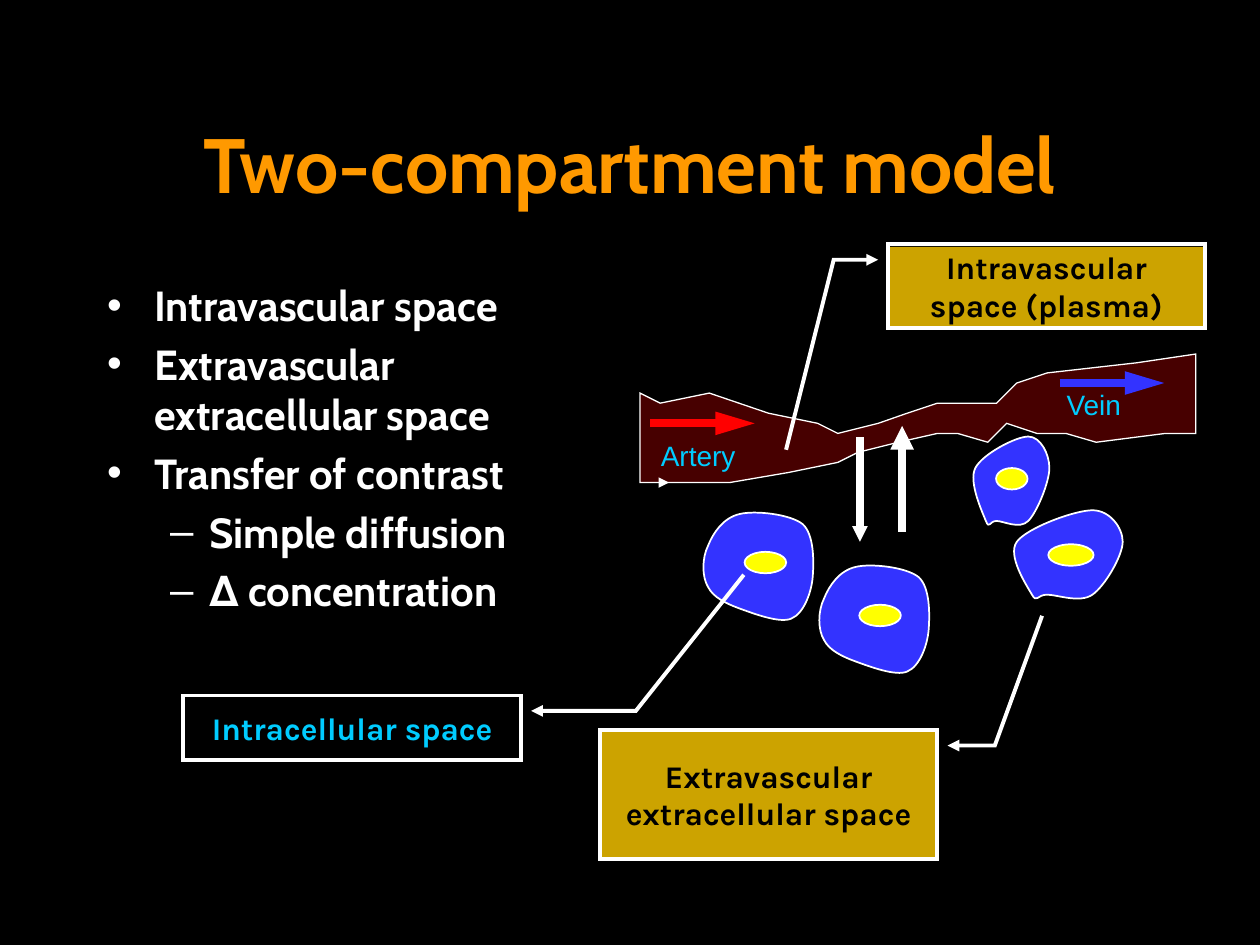
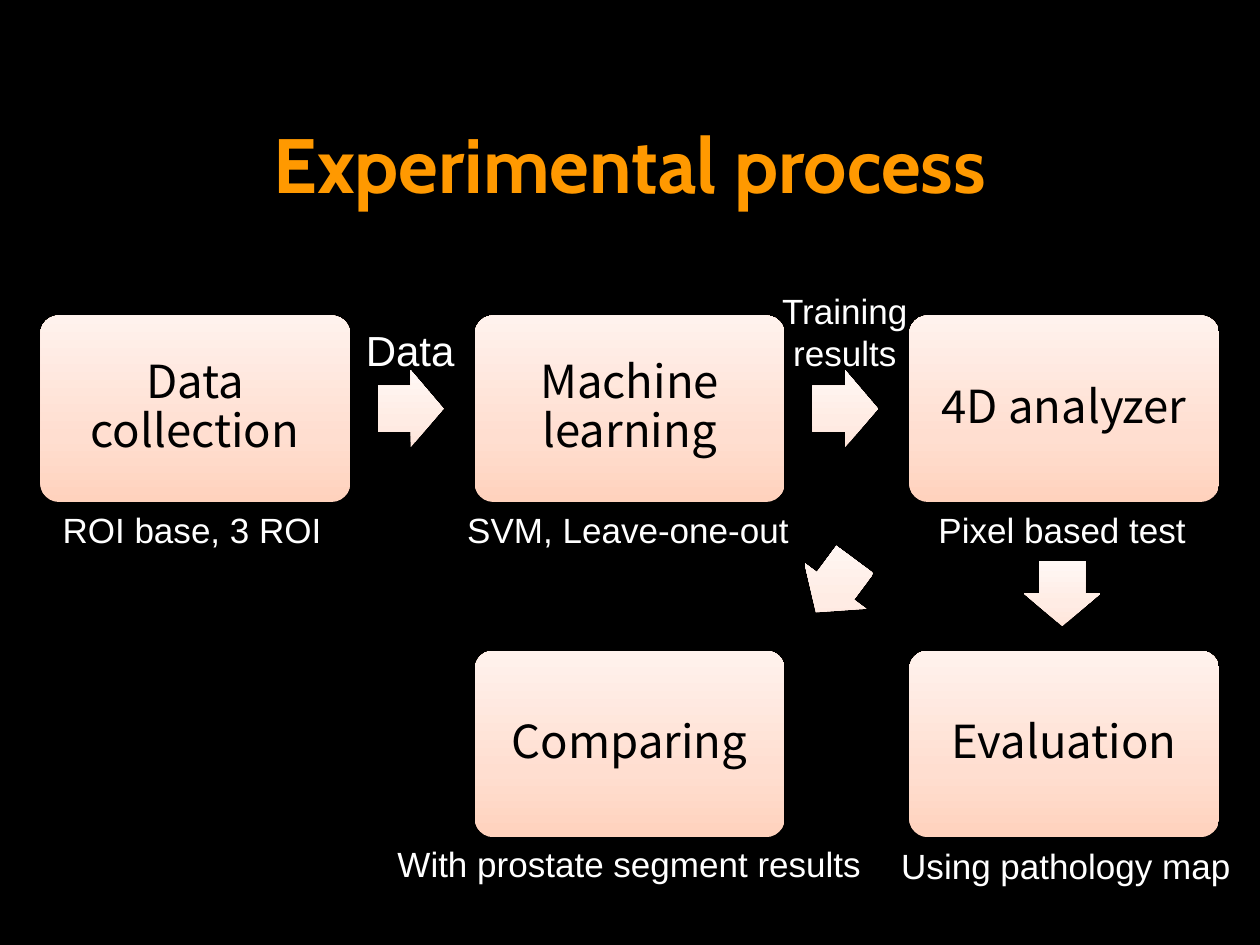
import dataclasses

import pptx
import pptx.dml.color
import pptx.enum.shapes
import pptx.enum.text
import pptx.oxml.ns
import pptx.util
from lxml import etree

SHAPE = pptx.enum.shapes.MSO_SHAPE
ALIGN = pptx.enum.text.PP_ALIGN
ANCHOR = pptx.enum.text.MSO_ANCHOR
FIT = pptx.enum.text.MSO_AUTO_SIZE
qn = pptx.oxml.ns.qn


@dataclasses.dataclass(frozen=True)
class Theme:
    background: str = "000000"
    title: str = "FF9900"
    light: str = "FFFFFF"
    dark: str = "000000"
    accent: str = "00CCFF"
    artery: str = "FF0000"
    cell: str = "3333FF"
    nucleus: str = "FFFF00"
    plate: str = "FFCC00"
    card_stops: tuple = ((0, "FFD2BD"), (35, "FFDED0"), (100, "FFF2ED"))
    arrow_stops: tuple = ((0, "FFE5DA"), (35, "FFECE4"), (100, "FFF8F5"))
    heading_font: str = "Cabin"
    callout_font: str = "Karla"
    label_font: str = "Arial"
    card_font: str = "Noto Sans CJK KR"
    title_size: int = 44
    card_size: int = 26
    body_size: int = 24
    caption_size: int = 20
    callout_size: int = 18
    label_size: int = 16


THEME = Theme()
COLUMNS, ROWS = 100, 75
UNIT = pptx.util.Inches(10) // COLUMNS
FINE = 100

BULLETS = (("Intravascular space", 0), ("Extravascular extracellular space", 0),
           ("Transfer of contrast", 0), ("Simple diffusion", 1), ("∆ concentration", 1))

VESSEL = (
    (52.4, 38.3), (57.9, 38.3), (62.6, 37.5), (66.5, 36.7), (68.1, 35.9), (71.3, 35.1),
    (74.4, 34.4), (76, 34.4), (78.4, 35.1), (79.9, 33.6), (82.3, 34.4), (84.6, 34.4),
    (87, 35.1), (92.5, 34.4), (94.9, 34.4), (94.9, 28.1), (90.2, 28.8), (83.1, 29.6),
    (80.7, 30.4), (79.1, 32), (76.8, 32), (74.4, 32), (72, 32.8), (69.7, 33.6),
    (66.5, 34.4), (64.9, 33.6), (61, 32.8), (56.3, 31.2), (52.4, 32), (50.8, 31.2),
    (50.8, 38.3), (53.1, 38.3))

ROUND_CELL = (
    (0.5, 2.8), (0.9, 1.8), (1.7, 0.6), (3, 0.3), (4.2, 0), (7, 0.3), (8, 1.1),
    (8.9, 1.9), (8.9, 4), (8.8, 5.3), (8.7, 6.5), (8.1, 8.2), (7.1, 8.6),
    (6.2, 9), (4.1, 8.2), (3, 7.8), (1.9, 7.4), (0.9, 6.9), (0.5, 6.1),
    (0, 5.3), (0, 3.8), (0.5, 2.8))
POINTED_CELL = (
    (3.2, 6.7), (2.4, 6.7), (2.4, 7.4), (2, 6.7), (1.6, 6), (0, 3.6), (0.8, 2.5),
    (1.6, 1.4), (5.4, 0), (6.8, 0), (8.2, 0), (9.2, 1.4), (9.2, 2.5),
    (9.2, 3.6), (7.8, 6), (6.8, 6.7), (5.8, 7.4), (4, 6.7), (3.2, 6.7))

CARD_LEFT, CARD_TOP, CARD_WIDTH, CARD_HEIGHT = 3.2, 25.04, 24.6, 14.8
CARD_STEP, CARD_DROP = 34.48, 26.6
ARROW_WIDTH, ARROW_HEIGHT = 5.2, 6.1
STAGES = (
    ("Data collection", 0, 0, "ROI base, 3 ROI", (3.9, 39.85, 22.7, 4.4)),
    ("Machine learning", 1, 0, "SVM, Leave-one-out", (36, 39.85, 27.7, 4.4)),
    ("4D analyzer", 2, 0, "Pixel based test", (73.4, 39.85, 21.8, 4.4)),
    ("Evaluation", 2, 1, "Using pathology map", (70.4, 66.55, 28.4, 4.4)),
    ("Comparing", 1, 1, "With prostate segment results", (30.4, 66.4, 39.1, 4.4)))


def grid(*lengths):
    return [pptx.util.Emu(round(length * UNIT)) for length in lengths]


def rgb(color):
    return pptx.dml.color.RGBColor.from_string(color)


def write_text(frame, text, *, size, font, color, bold=False, align=ALIGN.LEFT,
               anchor=ANCHOR.TOP, margins=(1, 0.5), wrap=True, fit=FIT.NONE,
               spacing=None, levels=None):
    frame.text = text
    frame.auto_size, frame.word_wrap, frame.vertical_anchor = fit, wrap, anchor
    frame.margin_left = frame.margin_right = grid(margins[0])[0]
    frame.margin_top = frame.margin_bottom = grid(margins[1])[0]
    for index, paragraph in enumerate(frame.paragraphs):
        paragraph.alignment = align
        paragraph.level = levels[index] if levels else 0
        if spacing:
            paragraph.line_spacing = spacing
        for run in paragraph.runs:
            run.font.size, run.font.name, run.font.bold = pptx.util.Pt(size), font, bold
            run.font.color.rgb = rgb(color)


def paint(shape, fill=None, line=None, width=1, opacity=None):
    shape.shadow.inherit = False
    if fill:
        shape.fill.solid()
        shape.fill.fore_color.rgb = rgb(fill)
    else:
        shape.fill.background()
    if opacity:
        color = shape.element.spPr.find(qn("a:solidFill"))[0]
        etree.SubElement(color, qn("a:alpha"), val=str(opacity * 1000))
    if line:
        shape.line.color.rgb = rgb(line)
        shape.line.width = pptx.util.Pt(width)
    else:
        shape.line.fill.background()


def paint_gradient(shape, stops):
    paint(shape)
    shape.fill.gradient()
    shape.fill.gradient_angle = 90
    gradient = shape.element.spPr.find(qn("a:gradFill"))
    gradient.set("rotWithShape", "0")
    stop_list = gradient.find(qn("a:gsLst"))
    for stop in list(stop_list):
        stop_list.remove(stop)
    for position, color in stops:
        stop = etree.SubElement(stop_list, qn("a:gs"), pos=str(position * 1000))
        etree.SubElement(stop, qn("a:srgbClr"), val=color)


def add_arrowhead(shape, end="tailEnd", width="med", length="med"):
    line = shape.element.spPr.find(qn("a:ln"))
    etree.SubElement(line, qn("a:miter"), lim="800000")
    etree.SubElement(line, qn(f"a:{end}"), type="triangle", w=width, len=length)


def place(shape, box):
    shape.left, shape.top, shape.width, shape.height = grid(*box)


def add_slide(deck, layout, title):
    slide = deck.slides.add_slide(deck.slide_layouts[layout])
    heading = slide.shapes.title
    place(heading, (7.5, 6.7, 85, 12.5))
    write_text(heading.text_frame, title, size=THEME.title_size, font=THEME.heading_font,
               color=THEME.title, bold=True, align=ALIGN.CENTER, anchor=ANCHOR.MIDDLE)
    return slide


def add_bullets(slide, box, items):
    body = slide.placeholders[1]
    place(body, box)
    texts, levels = zip(*items)
    write_text(body.text_frame, "\n".join(texts), size=THEME.body_size, levels=levels,
               font=THEME.heading_font, color=THEME.light, bold=True)


def add_outline(slide, points, closed):
    vertices = [(x * FINE, y * FINE) for x, y in points]
    builder = slide.shapes.build_freeform(*vertices[0], scale=UNIT / FINE)
    builder.add_line_segments(vertices[1:], close=closed)
    return builder.convert_to_shape()


def bend_outline(outline):
    segments = list(outline.element.iter(qn("a:lnTo")))
    for first in range(0, len(segments) - 2, 3):
        curve = etree.Element(qn("a:cubicBezTo"))
        segments[first].addprevious(curve)
        for segment in segments[first:first + 3]:
            curve.append(segment[0])
            segment.getparent().remove(segment)


def add_cell(slide, outline, left, top, nucleus_box, stretch=1):
    membrane = add_outline(slide, [(left + x * stretch, top + y) for x, y in outline], True)
    bend_outline(membrane)
    paint(membrane, THEME.cell, THEME.light)
    nucleus = slide.shapes.add_shape(SHAPE.OVAL, *grid(*nucleus_box))
    paint(nucleus, THEME.nucleus, THEME.light)


def add_flow(slide, start, end, color, **head):
    flow = slide.shapes.add_connector(
        pptx.enum.shapes.MSO_CONNECTOR.STRAIGHT, *grid(*start, *end))
    flow.line.color.rgb = rgb(color)
    flow.line.width = pptx.util.Pt(4.5)
    add_arrowhead(flow, **head)
    etree.SubElement(flow.element.spPr, qn("a:effectLst"))


def add_label(slide, box, text, size, color, **layout):
    label = slide.shapes.add_textbox(*grid(*box))
    write_text(label.text_frame, text, size=size, font=THEME.label_font, color=color,
               fit=FIT.SHAPE_TO_FIT_TEXT, **layout)


def add_plate(slide, box):
    plate = slide.shapes.add_shape(SHAPE.RECTANGLE, *grid(*box))
    paint(plate, THEME.plate, opacity=80)


def add_callout(slide, box, text, leader, color):
    callout = slide.shapes.add_shape(SHAPE.LINE_CALLOUT_2, *grid(*box))
    for index, share in enumerate(leader):
        callout.adjustments[index] = share
    paint(callout, line=THEME.light, width=2.25)
    add_arrowhead(callout, "headEnd")
    write_text(callout.text_frame, text, size=THEME.callout_size, font=THEME.callout_font,
               color=color, bold=True, align=ALIGN.CENTER, anchor=ANCHOR.MIDDLE,
               margins=(0.9, 0.4))


def add_stage(slide, name, column, row, caption, caption_box):
    left, top = CARD_LEFT + column * CARD_STEP, CARD_TOP + row * CARD_DROP
    card = slide.shapes.add_shape(
        SHAPE.ROUNDED_RECTANGLE, *grid(left, top, CARD_WIDTH, CARD_HEIGHT))
    card.adjustments[0] = 0.1
    paint_gradient(card, THEME.card_stops)
    write_text(card.text_frame, name, size=THEME.card_size, font=THEME.card_font,
               color=THEME.dark, align=ALIGN.CENTER, anchor=ANCHOR.MIDDLE,
               margins=(1.5, 1.5), spacing=0.9)
    add_label(slide, caption_box, caption, THEME.caption_size, THEME.light,
              align=ALIGN.CENTER, wrap=False)


def add_step_arrow(slide, center_column, center_row, turn=0):
    arrow = slide.shapes.add_shape(SHAPE.RIGHT_ARROW, *grid(
        center_column - ARROW_WIDTH / 2, center_row - ARROW_HEIGHT / 2,
        ARROW_WIDTH, ARROW_HEIGHT))
    arrow.adjustments[0], arrow.adjustments[1] = 0.6, 0.5
    arrow.rotation = turn
    paint_gradient(arrow, THEME.arrow_stops)


def build_model(deck):
    slide = add_slide(deck, 1, "Two-compartment model")
    add_bullets(slide, (7.5, 21.67, 41.7, 45), BULLETS)
    vessel = add_outline(slide, VESSEL, False)
    paint(vessel, THEME.artery, THEME.light, 0.75, opacity=28)
    add_arrowhead(vessel)
    extravascular_box = (47.6, 57.95, 26.8, 10.2)
    add_plate(slide, (70.45, 19.6, 25.2, 6.3))
    add_plate(slide, extravascular_box)
    add_cell(slide, ROUND_CELL, 55.7, 40.5, (59.1, 43.8, 3.3, 1.7))
    add_cell(slide, POINTED_CELL, 76.85, 34.65, (79.05, 37.15, 2.5, 1.7), 0.7)
    add_cell(slide, ROUND_CELL, 64.9, 44.7, (68.2, 48, 3.3, 1.7))
    add_cell(slide, POINTED_CELL, 79.9, 40.5, (83.2, 43.2, 3.6, 1.7))
    add_label(slide, (83.75, 30.35, 8, 3.5), "Vein", THEME.label_size, THEME.accent,
              margins=(0.9, 0.4))
    add_label(slide, (51.55, 34.4, 7.9, 3.5), "Artery", THEME.label_size, THEME.accent,
              margins=(0.9, 0.4), wrap=False)
    add_flow(slide, (51.6, 33.6), (59.9, 33.6), THEME.artery, length="lg")
    add_flow(slide, (68.25, 34.7), (68.25, 43), THEME.light, width="sm", length="sm")
    add_flow(slide, (71.6, 42.2), (71.6, 33.8), THEME.light)
    add_flow(slide, (84.1, 30.4), (92.4, 30.4), THEME.cell, length="lg")
    add_callout(slide, (70.45, 19.35, 25.2, 6.7), "Intravascular space (plasma)",
                (0.19, -0.03, 0.19, -0.17, 2.44, -0.32), THEME.dark)
    add_callout(slide, extravascular_box, "Extravascular extracellular space",
                (0.12, 1.03, 0.12, 1.17, -0.89, 1.31), THEME.dark)
    add_callout(slide, (14.55, 55.2, 26.8, 5.1), "Intracellular space",
                (0.24, 1.03, 0.24, 1.34, -1.88, 1.66), THEME.accent)


def build_process(deck):
    slide = add_slide(deck, 5, "Experimental process")
    for stage in STAGES:
        add_stage(slide, *stage)
    for gap in range(2):
        add_step_arrow(slide, 32.6 + gap * CARD_STEP, CARD_TOP + CARD_HEIGHT / 2)
    add_step_arrow(slide, 84.3, 47.1, 90)
    add_step_arrow(slide, 66.3, 46.5, 126.5)
    add_label(slide, (28, 25.3, 9.1, 5.1), "Data", THEME.body_size, THEME.light,
              align=ALIGN.CENTER, wrap=False)
    add_label(slide, (61, 22.5, 12.1, 7.7), "Training\nresults", THEME.caption_size,
              THEME.light, align=ALIGN.CENTER, wrap=False)


def main():
    deck = pptx.Presentation()
    deck.slide_width, deck.slide_height = grid(COLUMNS, ROWS)
    backdrop = deck.slide_master.background.fill
    backdrop.solid()
    backdrop.fore_color.rgb = rgb(THEME.background)
    build_model(deck)
    build_process(deck)
    deck.save("out.pptx")


if __name__ == "__main__":
    main()
